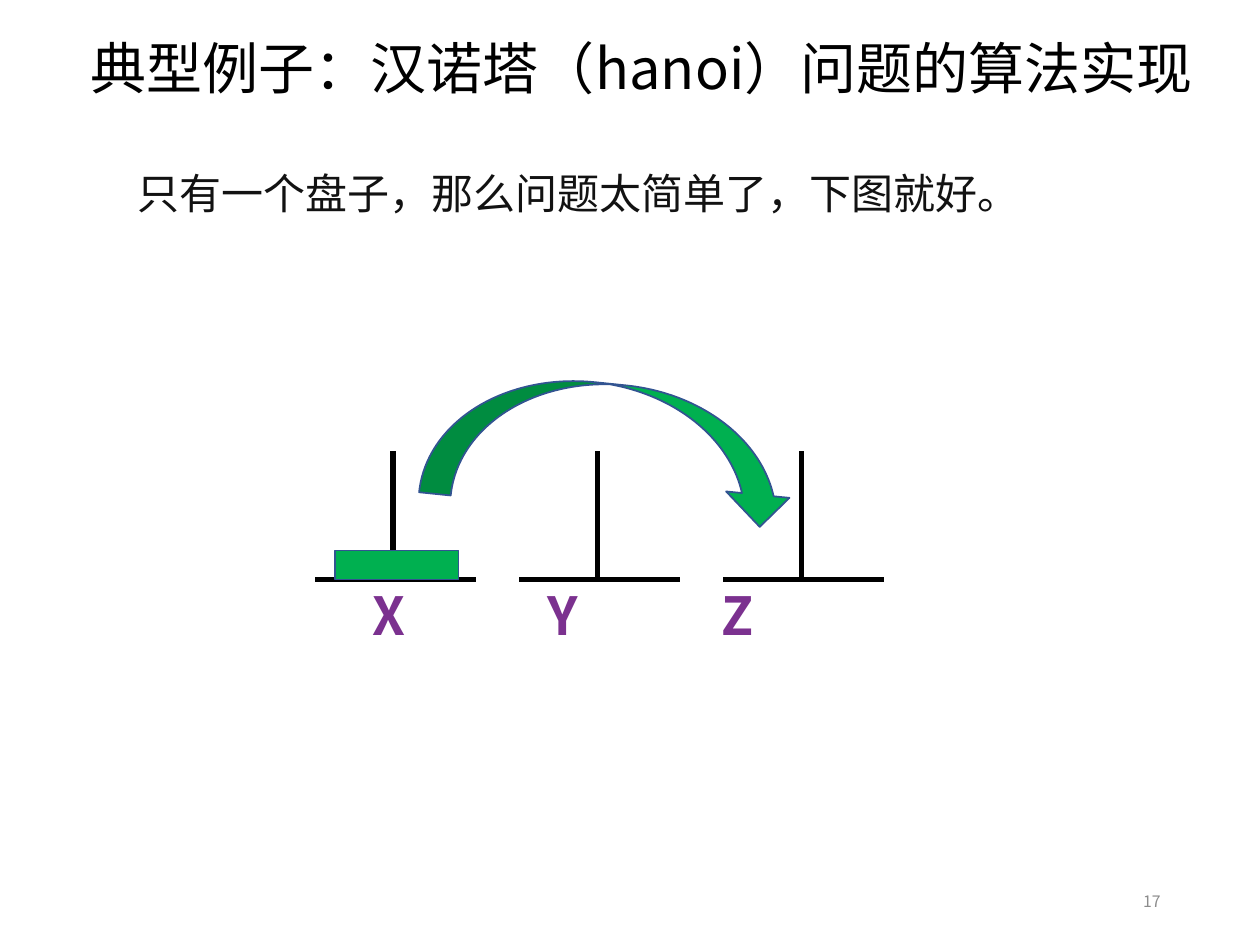
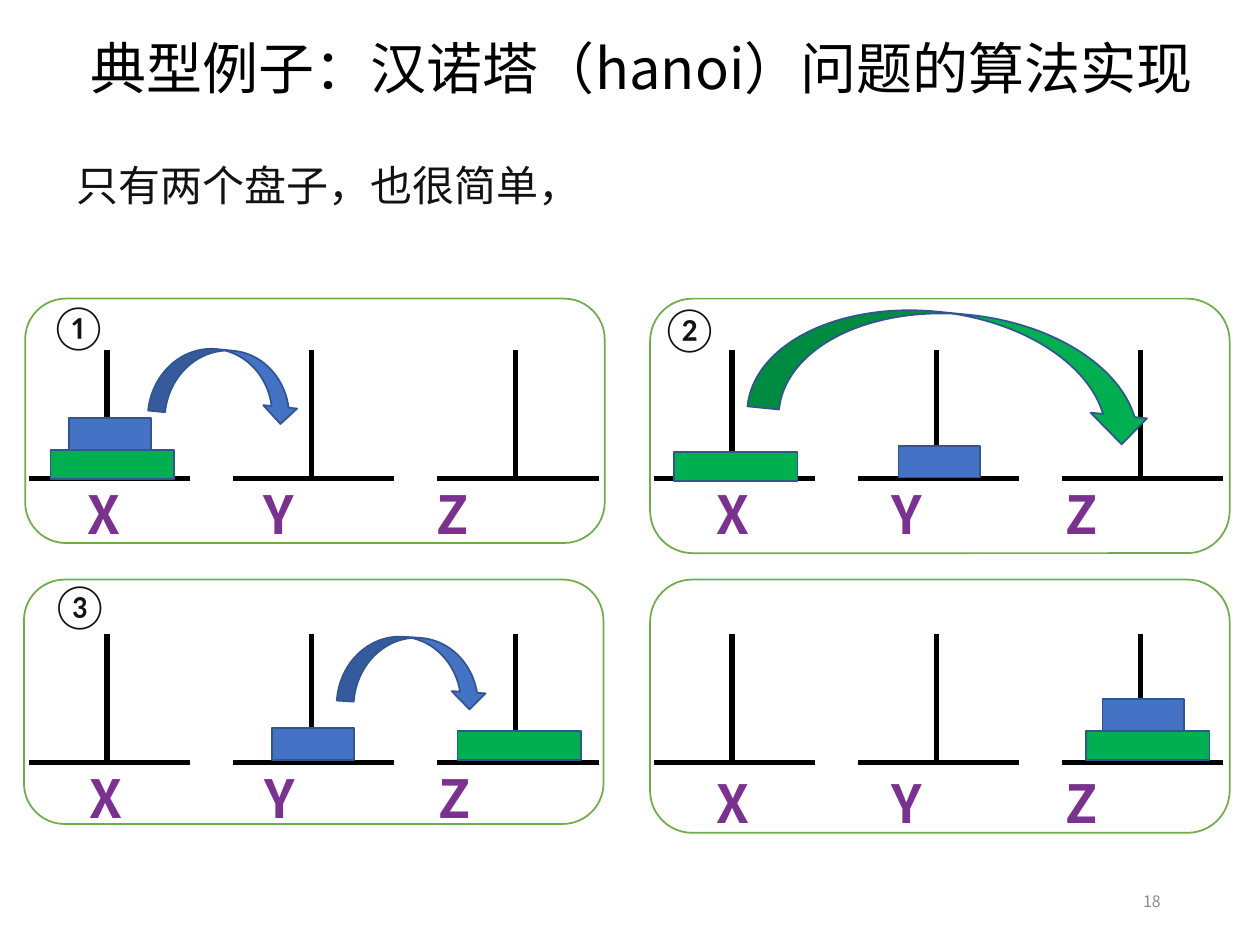
import pptx
import pptx.util
import pptx.dml.color
import pptx.enum.shapes
import pptx.enum.text
import pptx.oxml.ns
import lxml.etree

HUES = {
    "ink": "000000", "text": "121212", "page": "8C8C8C", "name": "7B318F",
    "edge": "325491", "card": "70AD47", "white": "FFFFFF",
    "big": "00B050", "small": "4472C4",
}
SIZES = {"big": (0.98, 0.23), "small": (0.65, 0.25)}
HEAD = "典型例子：汉诺塔（hanoi）问题的算法实现"
NOTO = "Noto Sans CJK SC"
LATO = "Lato"
STEP = 1.62
SHAPE = pptx.enum.shapes.MSO_SHAPE
ANCHOR = pptx.enum.text.MSO_ANCHOR
ALIGN = pptx.enum.text.PP_ALIGN


def hue(name):
    return pptx.dml.color.RGBColor.from_string(HUES[name])


def add_sub(node, tag, **attrs):
    return lxml.etree.SubElement(node, pptx.oxml.ns.qn(tag), **attrs)


def write(frame, text, size=24, face=NOTO, color="text", bold=False,
          align=ALIGN.LEFT, anchor=ANCHOR.TOP, space=None, tabs=()):
    frame.word_wrap = True
    frame.auto_size = pptx.enum.text.MSO_AUTO_SIZE.NONE
    frame.vertical_anchor = anchor
    para = frame.paragraphs[0]
    para.alignment = align
    if space:
        para.line_spacing = space
    if tabs:
        stops = add_sub(para._p.get_or_add_pPr(), "a:tabLst")
        for stop in tabs:
            add_sub(stops, "a:tab", pos=str(pptx.util.Inches(stop)), algn="l")
    run = para.add_run()
    run.text = text
    font = run.font
    font.size = pptx.util.Pt(size)
    font.name = face
    font.bold = bold
    font.color.rgb = hue(color)
    add_sub(run._r.get_or_add_rPr(), "a:ea", typeface=face)


class Deck:
    cols, rows = 10, 7.5

    def __init__(self):
        self.prs = pptx.Presentation()
        self.prs.slide_width = pptx.util.Inches(10)
        self.prs.slide_height = pptx.util.Inches(7.5)

    def grid(self, *cells):
        wide = self.prs.slide_width / self.cols
        high = self.prs.slide_height / self.rows
        return [int(cell * (high if i % 2 else wide))
                for i, cell in enumerate(cells)]

    def page(self, num):
        self.slide = self.prs.slides.add_slide(self.prs.slide_layouts[5])
        title = self.slide.shapes.title
        title.left, title.top, title.width, title.height = self.grid(
            0.62, -0.05, 9.38, 0.81)
        write(title.text_frame, HEAD, size=32, color="ink", space=1.5)
        self.text(str(num), 7.06, 6.95, 2.25, 0.4, size=9, color="page",
                  align=ALIGN.RIGHT, anchor=ANCHOR.MIDDLE)

    def text(self, words, x, y, w, h, **style):
        box = self.slide.shapes.add_textbox(*self.grid(x, y, w, h))
        write(box.text_frame, words, **style)

    def shape(self, kind, x, y, w, h, fill, edge="edge", turn=0):
        item = self.slide.shapes.add_shape(kind, *self.grid(x, y, w, h))
        item.shadow.inherit = False
        item.fill.solid()
        item.fill.fore_color.rgb = hue(fill)
        item.line.color.rgb = hue(edge)
        item.line.width = pptx.util.Pt(1)
        item.rotation = turn
        return item

    def line(self, *ends):
        item = self.slide.shapes.add_connector(
            pptx.enum.shapes.MSO_CONNECTOR.STRAIGHT, *self.grid(*ends))
        item.line.color.rgb = hue("ink")
        item.line.width = pptx.util.Pt(3)
        add_sub(item._element.spPr, "a:effectLst")

    def card(self, x, y, h):
        self.shape(SHAPE.ROUNDED_RECTANGLE, x, y, 4.6, h, "white", "card")

    def pegs(self, x, y):
        for i in range(3):
            left = x + i * STEP
            self.line(left, y, left + 1.28, y)
            self.line(left + 0.62, y - 1.02, left + 0.62, y - 0.02)

    def names(self, x, y):
        self.text("X\tY\tZ", x, y, 3.73, 0.61, size=30, color="name",
                  bold=True, tabs=(1.39, 2.77))

    def disc(self, kind, x, y):
        self.shape(SHAPE.RECTANGLE, x, y, *SIZES[kind], kind)

    def arc(self, kind, x, y, w, h, turn=5.8, bend=None):
        item = self.shape(SHAPE.CURVED_DOWN_ARROW, x, y, w, h, kind, turn=turn)
        if bend:
            item.adjustments[0] = bend

    def scene(self, base, names, discs, card=None, arc=None, mark=None):
        if card:
            self.card(*card)
        self.pegs(*base)
        for disc in discs:
            self.disc(*disc)
        self.names(*names)
        if mark:
            sign, x, y = mark
            self.text(sign, x, y, 0.61, 0.5, face=LATO)
        if arc:
            self.arc(*arc)


def main():
    deck = Deck()

    deck.page(17)
    deck.text("只有一个盘子，那么问题太简单了，下图就好。", 0.99, 1.28, 7.2, 0.5)
    deck.scene((2.5, 4.6), (2.86, 4.58), [("big", 2.66, 4.37)],
               arc=("big", 3.37, 3.05, 2.97, 1.01))

    deck.page(18)
    deck.text("只有两个盘子，也很简单，", 0.51, 1.22, 6.92, 0.5, face=LATO)
    left, right = 0.23, 5.19
    upper, lower = 3.8, 6.05
    deck.scene((left, upper), (0.6, 3.78),
               [("small", 0.55, 3.32), ("big", 0.4, 3.57)],
               card=(0.2, 2.37, 1.94), mark=("①", 0.34, 2.34),
               arc=("small", 1.2, 2.78, 1.19, 0.54))
    deck.scene((right, upper), (5.59, 3.78),
               [("small", 7.13, 3.54), ("big", 5.35, 3.59)],
               card=(5.16, 2.37, 2.02), mark=("②", 5.19, 2.36),
               arc=("big", 5.97, 2.49, 3.21, 0.9, 5.8, 0.28))
    deck.scene((left, lower), (0.61, 6.03),
               [("big", 3.63, 5.8), ("small", 2.16, 5.78)],
               card=(0.19, 4.6, 1.94), mark=("③", 0.35, 4.56),
               arc=("small", 2.69, 5.06, 1.19, 0.54, 3.8))
    deck.scene((right, lower), (5.59, 6.07),
               [("big", 8.62, 5.8), ("small", 8.75, 5.55)],
               card=(5.16, 4.6, 2.01))

    deck.prs.save("out.pptx")


if __name__ == "__main__":
    main()
